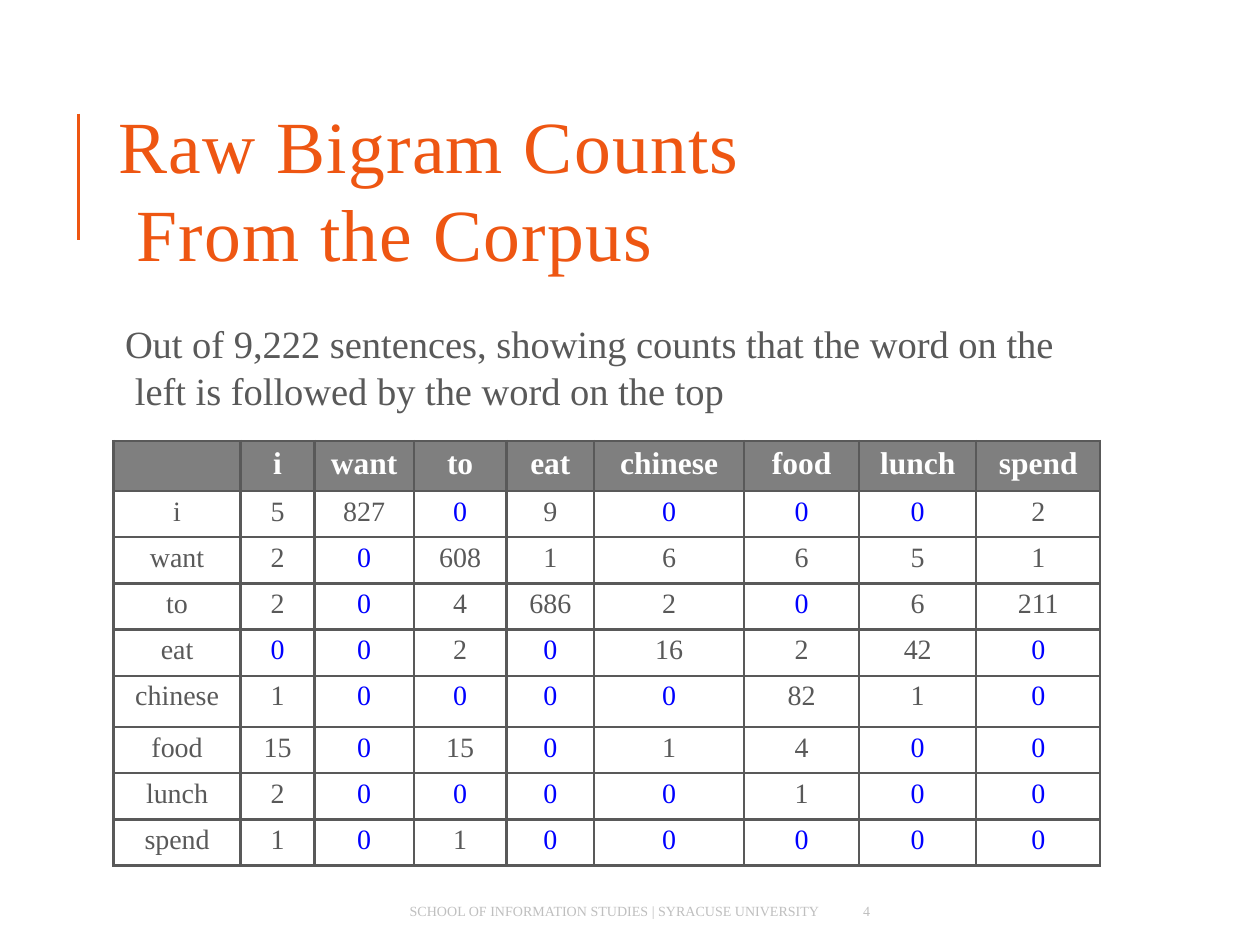
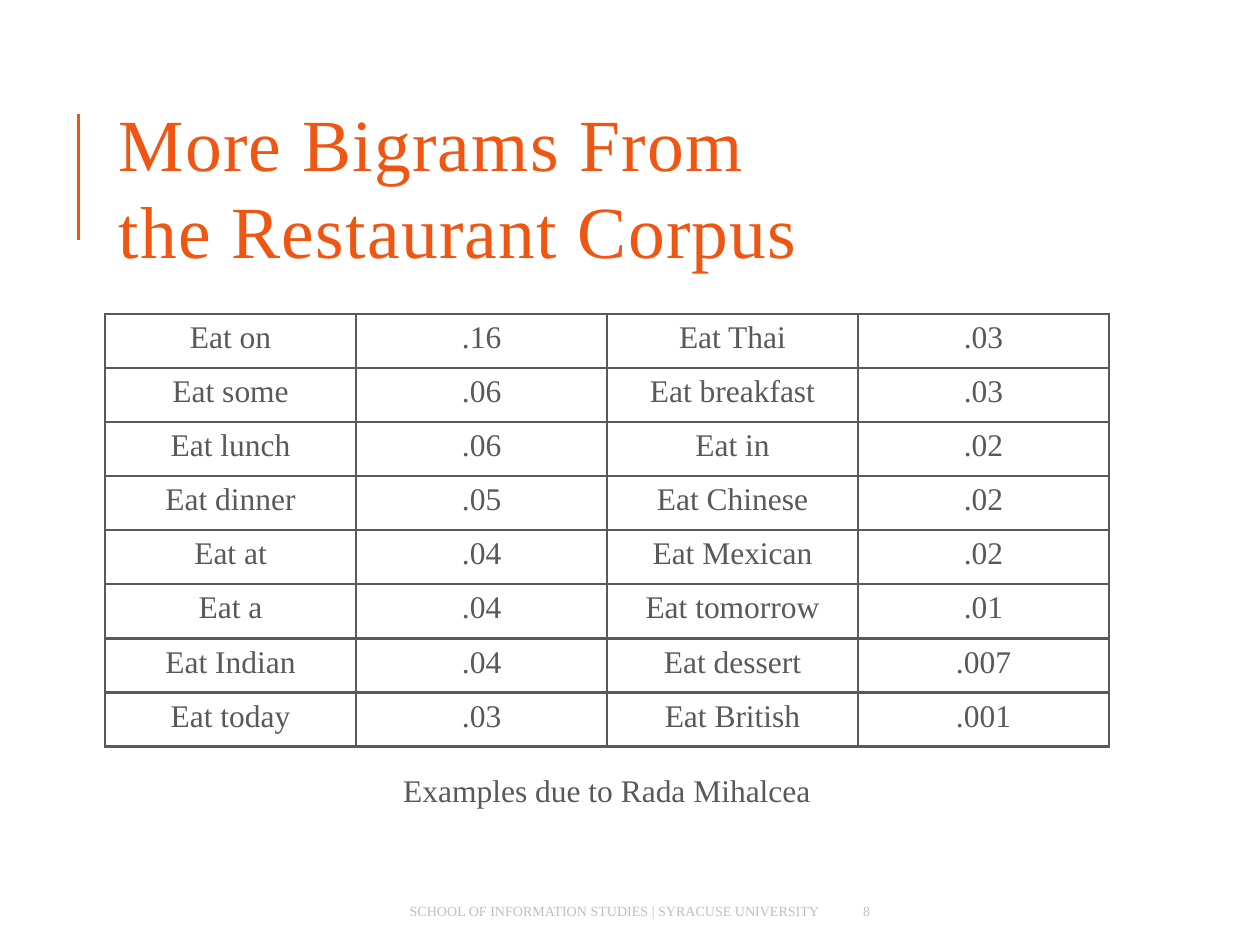
from lxml.etree import SubElement
from pptx import Presentation
from pptx.dml.color import RGBColor
from pptx.enum.shapes import MSO_CONNECTOR
from pptx.enum.text import MSO_ANCHOR, MSO_AUTO_SIZE, PP_ALIGN
from pptx.oxml.ns import qn
from pptx.util import Cm, Pt

# Shared look
FONT = "Times New Roman"
ORANGE = RGBColor(0xEE, 0x56, 0x12)
DARK_GREY = RGBColor(0x59, 0x59, 0x59)
HEADER_GREY = RGBColor(0x7F, 0x7F, 0x7F)
FOOTER_GREY = RGBColor(0xBF, 0xBF, 0xBF)
ZERO_BLUE = RGBColor(0x00, 0x00, 0xFF)
WHITE = RGBColor(0xFF, 0xFF, 0xFF)
FOOTER = "SCHOOL OF INFORMATION STUDIES | SYRACUSE UNIVERSITY"
TITLE_AND_BODY, TITLE_ONLY = 1, 5

# Slide contents
WORDS = ["i", "want", "to", "eat", "chinese", "food", "lunch", "spend"]
COUNTS = [
    [5, 827, 0, 9, 0, 0, 0, 2],
    [2, 0, 608, 1, 6, 6, 5, 1],
    [2, 0, 4, 686, 2, 0, 6, 211],
    [0, 0, 2, 0, 16, 2, 42, 0],
    [1, 0, 0, 0, 0, 82, 1, 0],
    [15, 0, 15, 0, 1, 4, 0, 0],
    [2, 0, 0, 0, 0, 1, 0, 0],
    [1, 0, 1, 0, 0, 0, 0, 0],
]
COUNT_WIDTHS = [2.56, 1.49, 2, 1.87, 1.77, 3.02, 2.32, 2.36, 2.5]
COUNT_HEIGHTS = [1.01, 0.93, 0.93, 0.93, 0.93, 1.04, 0.93, 0.93, 0.93]
BIGRAMS = [
    ["Eat on", ".16", "Eat Thai", ".03"],
    ["Eat some", ".06", "Eat breakfast", ".03"],
    ["Eat lunch", ".06", "Eat in", ".02"],
    ["Eat dinner", ".05", "Eat Chinese", ".02"],
    ["Eat at", ".04", "Eat Mexican", ".02"],
    ["Eat a", ".04", "Eat tomorrow", ".01"],
    ["Eat Indian", ".04", "Eat dessert", ".007"],
    ["Eat today", ".03", "Eat British", ".001"],
]


def style_paragraph(para, size, color, bold=False, align=PP_ALIGN.LEFT):
    para.alignment = align
    para.space_before = Pt(0)
    font = para.font
    font.name, font.size, font.bold = FONT, Pt(size), bold
    font.color.rgb = color


def write_lines(shape, box, lines, size, color, top_inset=0.0,
                indent=0.0, spacing=None, tracking=0):
    """Fill a shape with lines; those after the first are indented."""
    shape.left, shape.top, shape.width, shape.height = map(Cm, box)
    frame = shape.text_frame
    frame.word_wrap = True
    frame.auto_size = MSO_AUTO_SIZE.NONE
    frame.vertical_anchor = MSO_ANCHOR.TOP
    frame.margin_left = frame.margin_right = frame.margin_bottom = 0
    frame.margin_top = Cm(top_inset)
    frame.text = "\n".join(lines)
    for number, para in enumerate(frame.paragraphs):
        properties = para._p.get_or_add_pPr()
        properties.set("marL", str(Cm(indent if number else 0)))
        properties.set("indent", "0")
        SubElement(properties, qn("a:buNone"))
        if spacing:
            para.line_spacing = spacing
        style_paragraph(para, size, color)
        for span in para.runs:
            span._r.get_or_add_rPr().set("spc", str(tracking))


def add_text(page, box, text, size, color):
    shape = page.shapes.add_textbox(*map(Cm, box))
    write_lines(shape, box, [text], size, color)


def add_page(deck, layout, title_lines, number, top_inset, indent=0.0):
    """Start a page with its title, side rule and footer."""
    page = deck.slides.add_slide(deck.slide_layouts[layout])
    write_lines(page.shapes.title, (2.39, 1.85, 15, 3.61), title_lines, 42,
                ORANGE, top_inset, indent, Pt(50), 75)
    rule = page.shapes.add_connector(MSO_CONNECTOR.STRAIGHT, Cm(1.58),
                                     Cm(2.29), Cm(1.58), Cm(4.83))
    rule.line.color.rgb = ORANGE
    rule.line.width = Pt(2)
    SubElement(rule._element.spPr, qn("a:effectLst"))
    add_text(page, (8.26, 18.19, 8.6, 0.38), FOOTER, 8, FOOTER_GREY)
    add_text(page, (17.4, 18.19, 0.48, 0.38), str(number), 8, FOOTER_GREY)
    return page


def add_borders(cell):
    properties = cell._tc.get_or_add_tcPr()
    for position, side in enumerate(("lnL", "lnR", "lnT", "lnB")):
        line = SubElement(properties, qn(f"a:{side}"), w=str(Pt(1.5)))
        fill = SubElement(line, qn("a:solidFill"))
        SubElement(fill, qn("a:srgbClr"), val=str(DARK_GREY))
        properties.insert(position, line)


def add_grid(page, left, top, widths, heights, rows, size, top_inset,
             has_header=False):
    """Draw a ruled table of centred text; zeros stand out in blue."""
    table = page.shapes.add_table(len(rows), len(widths), Cm(left), Cm(top),
                                  Cm(sum(widths)), Cm(sum(heights))).table
    table.first_row = has_header
    table.horz_banding = False
    for column, width in zip(table.columns, widths):
        column.width = Cm(width)
    for row, height in zip(table.rows, heights):
        row.height = Cm(height)
    for row_number, values in enumerate(rows):
        is_header = has_header and row_number == 0
        for column_number, value in enumerate(values):
            cell = table.cell(row_number, column_number)
            cell.margin_left = cell.margin_right = cell.margin_bottom = 0
            cell.margin_top = Cm(top_inset)
            cell.text = str(value)
            if is_header:
                cell.fill.solid()
                cell.fill.fore_color.rgb = HEADER_GREY
                color = WHITE
            else:
                cell.fill.background()
                color = ZERO_BLUE if value == 0 else DARK_GREY
            style_paragraph(cell.text_frame.paragraphs[0],
                            size + 2 if is_header else size, color,
                            is_header, PP_ALIGN.CENTER)
            add_borders(cell)


def build_counts_page(deck):
    page = add_page(deck, TITLE_AND_BODY,
                    ["Raw Bigram Counts", "From the Corpus"], 4, 0.18, 0.36)
    write_lines(page.placeholders[1], (2.52, 6.4, 20, 1.96),
                ["Out of 9,222 sentences, showing counts that the word on the",
                 "left is followed by the word on the top"],
                22, DARK_GREY, 0.03, 0.2, 1.02)
    rows = [["", *WORDS]]
    rows += [[word, *counts] for word, counts in zip(WORDS, COUNTS)]
    add_grid(page, 2.29, 8.89, COUNT_WIDTHS, COUNT_HEIGHTS, rows, 16, 0.1, True)


def build_bigrams_page(deck):
    page = add_page(deck, TITLE_ONLY,
                    ["More Bigrams From", "the Restaurant Corpus"], 8, 0.13)
    add_grid(page, 2.12, 6.33, [5.06] * 4, [1.09] * 8, BIGRAMS, 18, 0.13)
    add_text(page, (8.13, 15.55, 9, 0.84), "Examples due to Rada Mihalcea",
             18, DARK_GREY)


def main():
    deck = Presentation()
    deck.slide_width, deck.slide_height = Cm(25.4), Cm(19.05)
    build_counts_page(deck)
    build_bigrams_page(deck)
    deck.save("out.pptx")


if __name__ == "__main__":
    main()
